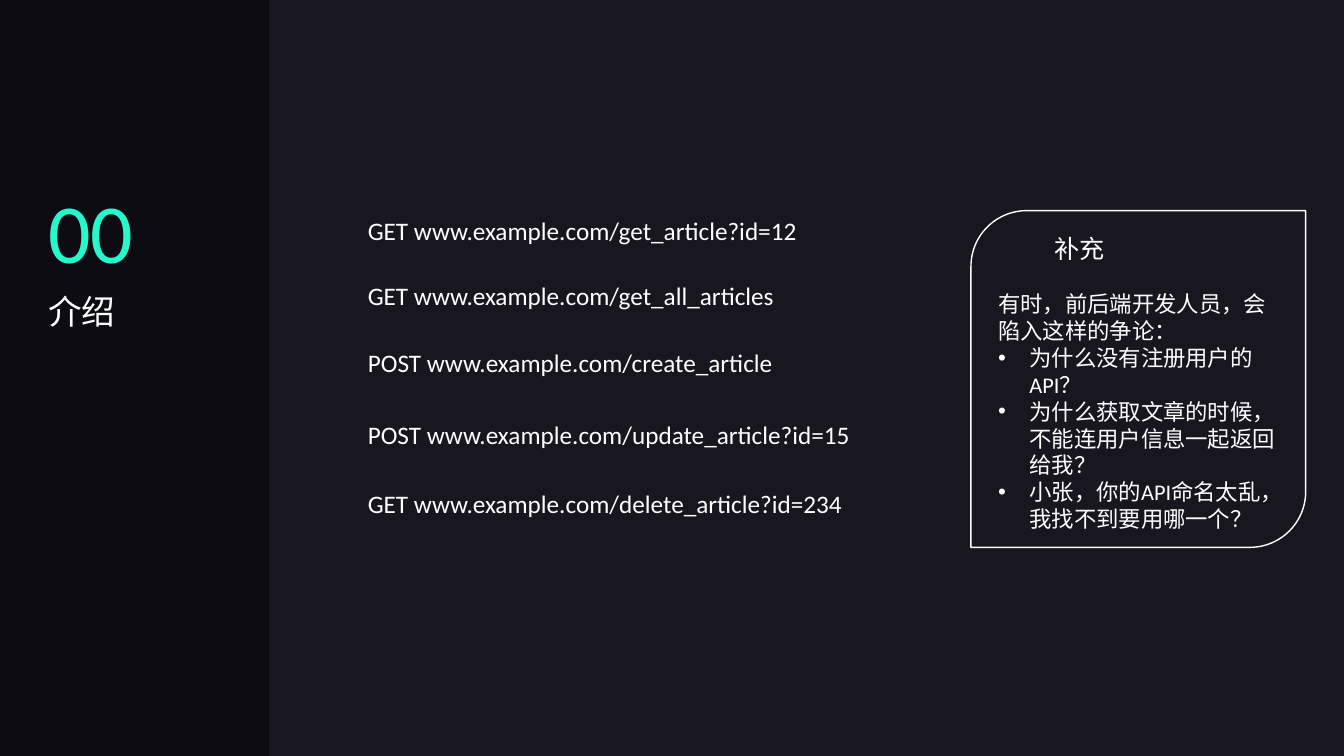
from typing import NamedTuple

from lxml import etree
from pptx import Presentation
from pptx.dml.color import RGBColor
from pptx.enum.shapes import MSO_SHAPE as Shape
from pptx.enum.text import MSO_ANCHOR as Anchor, MSO_AUTO_SIZE as AutoSize, PP_ALIGN as Align
from pptx.oxml.ns import qn
from pptx.util import Inches, Pt

FONT = "Calibri"
WHITE, MINT = "FFFFFF", "24F9CB"
BACKGROUND, SIDEBAR = "181720", "0E0C13"
BULLET_INDENT = 0.31


class Label(NamedTuple):
    text: str
    left: float
    top: float
    width: float
    height: float = 0.4
    size: int = 18
    color: str = WHITE


ENDPOINTS = [
    Label("GET www.example.com/get_article?id=12", 3.55, 2.09, 4.5),
    Label("GET www.example.com/get_all_articles", 3.55, 2.73, 4.27),
    Label("POST www.example.com/create_article", 3.55, 3.4, 4.38),
    Label("POST www.example.com/update_article?id=15", 3.55, 4.11, 5.04),
    Label("GET www.example.com/delete_article?id=234", 3.55, 4.8, 4.96),
]
SECTION_NUMBER = Label("00", 0.38, 1.73, 1.05, 1.11, 60, MINT)
SECTION_TITLE = Label("介绍", 0.38, 2.84, 0.88, 0.5, 24)
NOTE_TITLE = Label("补充", 10.36, 2.27, 0.71)
NOTE_BODY = Label(
    "有时，前后端开发人员，会陷入这样的争论：\n"
    "为什么没有注册用户的API？\n"
    "为什么获取文章的时候，不能连用户信息一起返回给我？\n"
    "小张，你的API命名太乱，我找不到要用哪一个？",
    9.8, 2.83, 3.04, 2.26, 16)


def rgb(color: str) -> RGBColor:
    return RGBColor.from_string(color)


def fill_label(sp, label: Label, wrap: bool = False) -> None:
    """Place a text shape and format its text."""
    sp.left, sp.top = Inches(label.left), Inches(label.top)
    sp.width, sp.height = Inches(label.width), Inches(label.height)
    tf = sp.text_frame
    tf.text = label.text
    tf.word_wrap = wrap
    tf.auto_size = AutoSize.SHAPE_TO_FIT_TEXT
    tf.vertical_anchor = Anchor.TOP
    for p in tf.paragraphs:
        p.alignment = Align.LEFT
        p.space_before = Pt(0)
        for r in p.runs:
            r.font.name = FONT
            r.font.size = Pt(label.size)
            r.font.color.rgb = rgb(label.color)


def add_label(s, label: Label) -> None:
    fill_label(s.shapes.add_textbox(0, 0, 0, 0), label)


def set_bullet(p, char: str = "") -> None:
    """Give a paragraph a hanging bullet, or remove the inherited one."""
    pPr = p._p.get_or_add_pPr()
    indent = Inches(BULLET_INDENT) if char else 0
    pPr.set("marL", str(indent))
    pPr.set("indent", str(-indent))
    if char:
        etree.SubElement(pPr, qn("a:buFont")).set("typeface", "Arial")
        etree.SubElement(pPr, qn("a:buChar")).set("char", char)
    else:
        etree.SubElement(pPr, qn("a:buNone"))


def main() -> None:
    prs = Presentation()
    prs.slide_width, prs.slide_height = Inches(13.33), Inches(7.5)
    s = prs.slides.add_slide(prs.slide_layouts[1])
    s.background.fill.solid()
    s.background.fill.fore_color.rgb = rgb(BACKGROUND)

    # Sidebar, sent behind the title
    sidebar = s.shapes.add_shape(Shape.RECTANGLE, 0, 0, Inches(2.67), prs.slide_height)
    sidebar.shadow.inherit = False
    sidebar.fill.solid()
    sidebar.fill.fore_color.rgb = rgb(SIDEBAR)
    sidebar.line.fill.background()
    s.shapes._spTree.insert(2, sidebar._element)
    add_label(s, SECTION_NUMBER)
    fill_label(s.shapes.title, SECTION_TITLE)

    # Endpoint list
    for endpoint in ENDPOINTS:
        add_label(s, endpoint)

    # Note card
    card = s.shapes.add_shape(Shape.ROUND_2_DIAG_RECTANGLE, Inches(9.63), Inches(2.09),
                              Inches(3.32), Inches(3.34))
    card.shadow.inherit = False
    card.fill.background()
    card.line.color.rgb = rgb(WHITE)
    card.line.width = Pt(1)
    add_label(s, NOTE_TITLE)
    body = s.placeholders[1]
    fill_label(body, NOTE_BODY, wrap=True)
    intro, *questions = body.text_frame.paragraphs
    set_bullet(intro)
    for question in questions:
        set_bullet(question, "•")

    prs.save("out.pptx")


if __name__ == "__main__":
    main()
